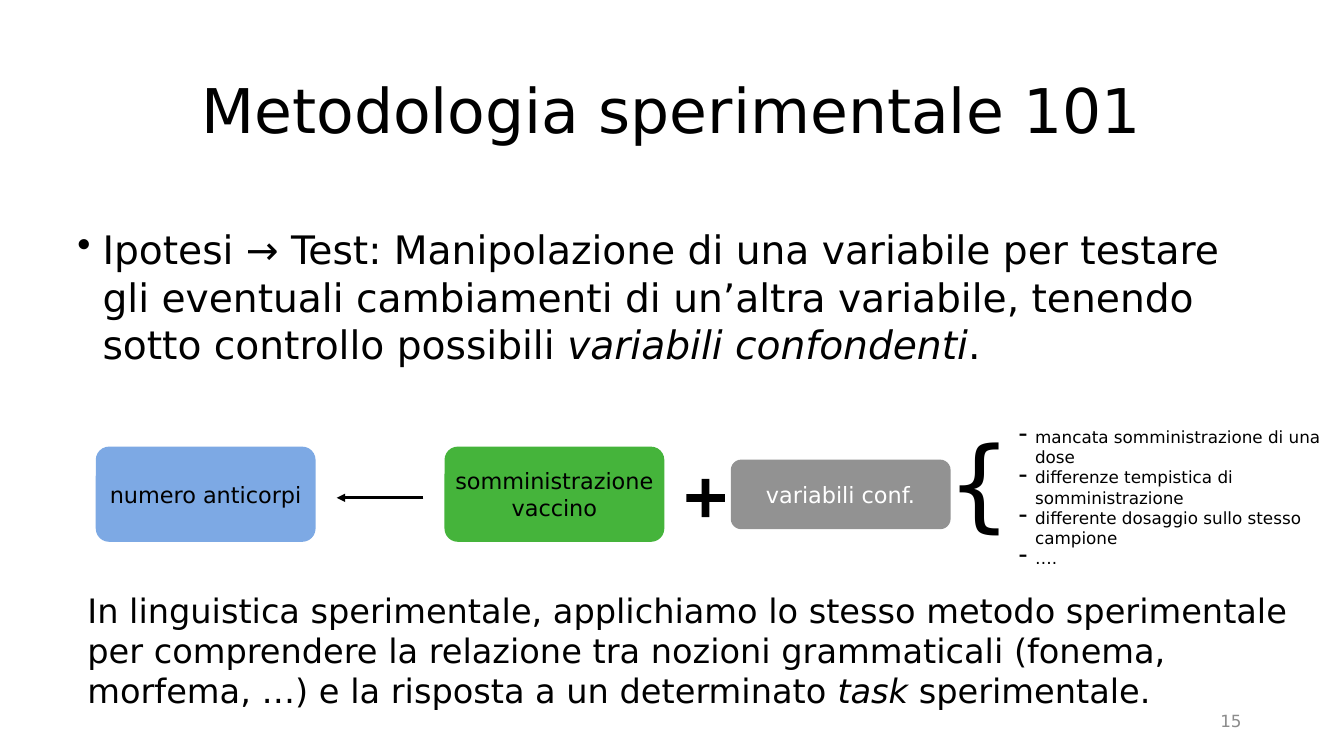
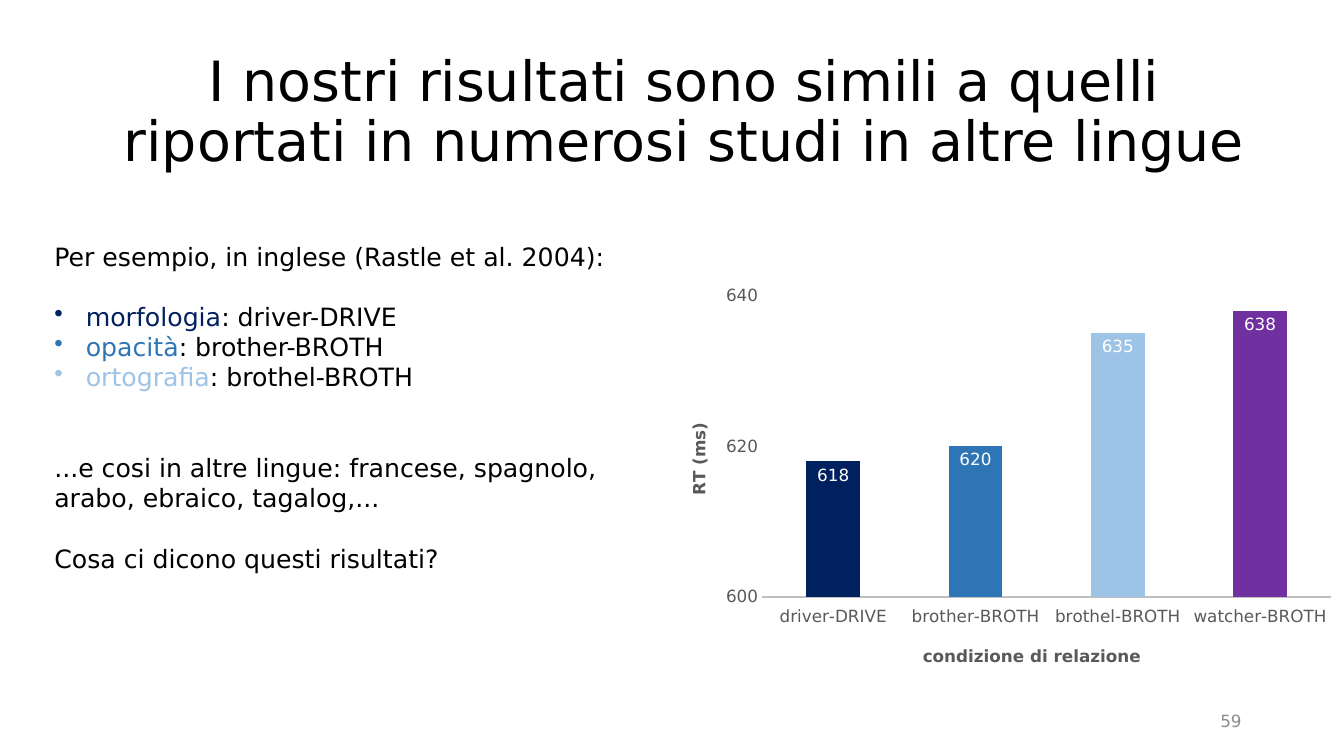
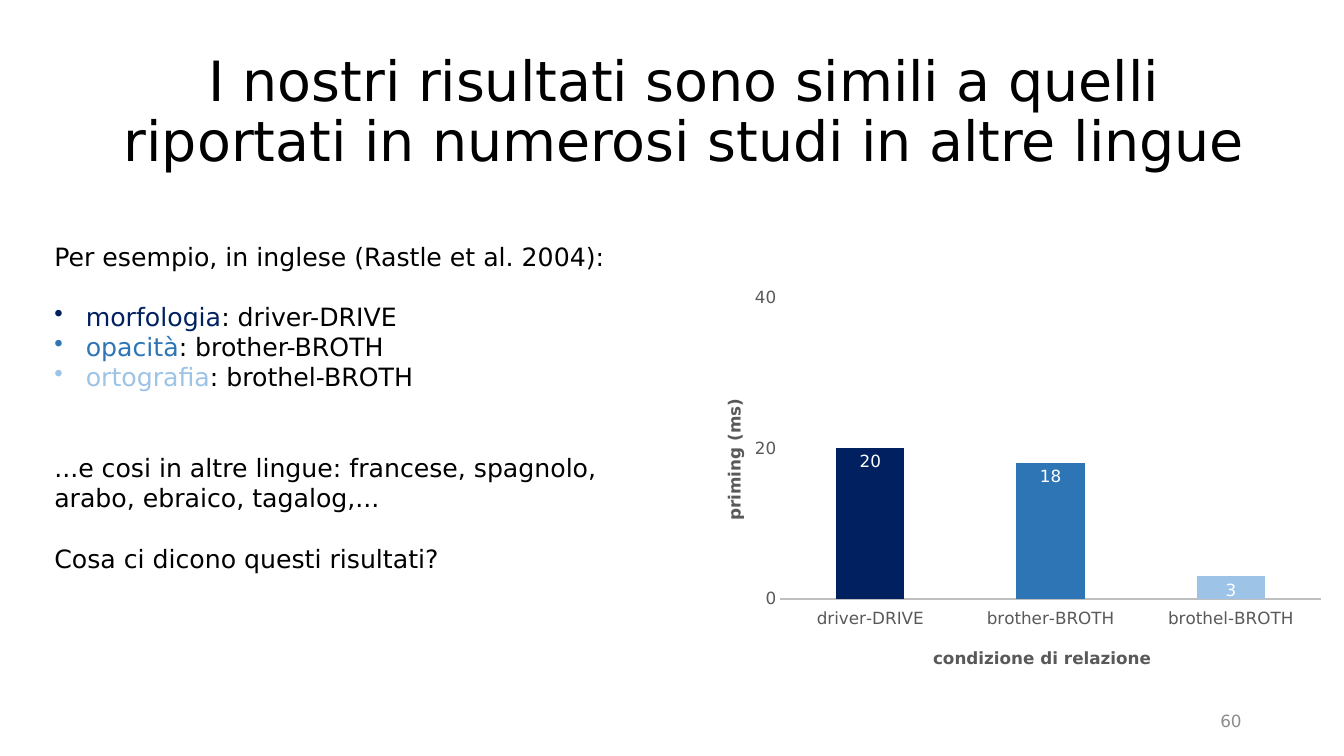
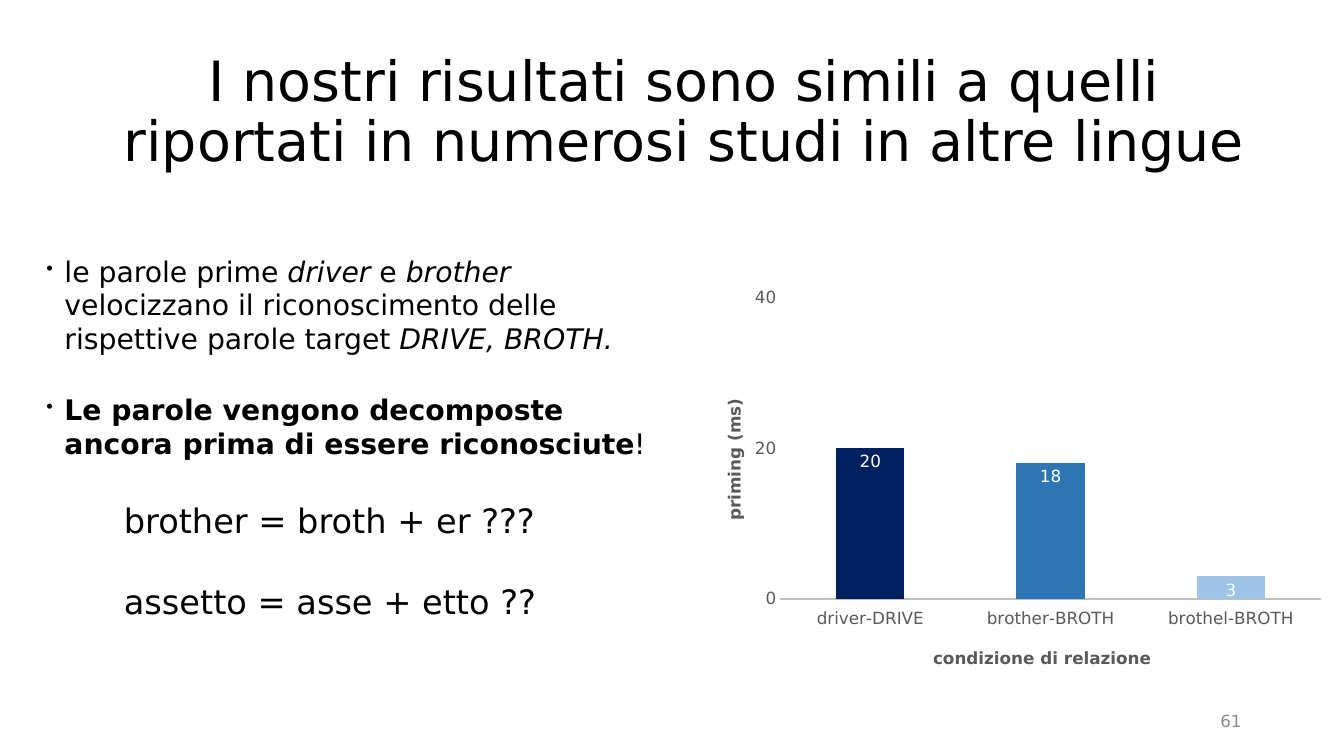
from lxml import etree
from pptx import Presentation
from pptx import util as u
from pptx.chart import data
from pptx.dml import color
from pptx.enum import chart as ch, shapes, text
from pptx.oxml import ns

RGB = color.RGBColor
BLACK, WHITE = RGB(0, 0, 0), RGB(255, 255, 255)
BLUE, GREEN, GRAY = RGB(0x7D, 0xA9, 0xE4), RGB(0x45, 0xB4, 0x3B), RGB(0x92, 0x92, 0x92)
NAVY, MID, SKY = RGB(0x00, 0x20, 0x60), RGB(0x2E, 0x75, 0xB6), RGB(0x9D, 0xC3, 0xE6)
PURPLE = RGB(0x70, 0x30, 0xA0)
FAINT, DARK, RULE = RGB(0x8C, 0x8C, 0x8C), RGB(0x59, 0x59, 0x59), RGB(0xBF, 0xBF, 0xBF)
FONT = "DejaVu Sans"
LEFT, CENTER, RIGHT = text.PP_ALIGN.LEFT, text.PP_ALIGN.CENTER, text.PP_ALIGN.RIGHT
TOP, MIDDLE = text.MSO_ANCHOR.TOP, text.MSO_ANCHOR.MIDDLE
ITALIC, BOLD = {"italic": True}, {"bold": True}
CLAIM = "I nostri risultati sono simili a quelli riportati in numerosi studi in altre lingue"
PAIRS = ["driver-DRIVE", "brother-BROTH", "brothel-BROTH", "watcher-BROTH"]
TINTS = [NAVY, MID, SKY, PURPLE]


# Formatting helpers
def pts(*vals):
    return [u.Pt(v) for v in vals]


def put(obj, fmt):
    for key, val in fmt.items():
        setattr(obj, key, val)


def style(font, size, tint=BLACK, **more):
    put(font, {"name": FONT, "size": u.Pt(size), **more})
    font.color.rgb = tint


def node(tree, tag, **attrs):
    return etree.SubElement(tree, ns.qn(tag), attrs)


def mark(para, sign, indent, hang, scale=100):
    props = para._p.get_or_add_pPr()
    put_in = {"marL": indent, "indent": -hang}
    for key, val in put_in.items():
        props.set(key, str(int(u.Pt(val))))
    node(props, "a:buSzPct", val=str(scale * 1000))
    node(props, "a:buChar", char=sign)


# Text: a paragraph is a string, or a dict with runs, gap and bullet
def write(frame, paras, size, tint=BLACK, align=LEFT, anchor=TOP, inset=None, line=None):
    put(frame, {"word_wrap": True, "vertical_anchor": anchor})
    if inset is not None:
        for side in ("left", "right", "top", "bottom"):
            setattr(frame, "margin_" + side, u.Pt(inset))
    for i, item in enumerate(paras):
        if isinstance(item, str):
            item = {"runs": [(item, {})]}
        para = frame.paragraphs[0] if i == 0 else frame.add_paragraph()
        put(para, {"alignment": align, "space_before": u.Pt(item.get("gap", 0))})
        if line:
            para.line_spacing = line
        if "mark" in item:
            mark(para, *item["mark"])
        for words, fmt in item["runs"]:
            run = para.add_run()
            run.text = words
            style(run.font, size, **{"tint": tint, **fmt})


def label(slide, at, paras, size, **fmt):
    write(slide.shapes.add_textbox(*pts(*at)).text_frame, paras, size, **fmt)


def solid(slide, kind, at, fill, bend):
    shape = slide.shapes.add_shape(kind, *pts(*at))
    shape.shadow.inherit = False
    shape.fill.solid()
    shape.fill.fore_color.rgb = fill
    shape.line.fill.background()
    shape.adjustments[0] = bend
    return shape


def card(slide, at, words, fill, tint=BLACK, bend=0.14):
    shape = solid(slide, shapes.MSO_SHAPE.ROUNDED_RECTANGLE, at, fill, bend)
    write(shape.text_frame, [words], 16, tint, CENTER, MIDDLE, 2)


def arrow(slide, *ends):
    line = slide.shapes.add_connector(shapes.MSO_CONNECTOR.STRAIGHT, *pts(*ends))
    line.line.color.rgb = BLACK
    line.line.width = u.Pt(2)
    props = line._element.spPr
    node(props.find(ns.qn("a:ln")), "a:tailEnd", type="triangle")
    node(props, "a:effectLst")


# Page with the shared title and number
def page(deck, title, num, size=39.6, width=846):
    slide = deck.slides.add_slide(deck.slide_layouts[6])
    label(slide, (66, 29, width, 104), [title], size, align=CENTER, anchor=MIDDLE, line=0.9)
    label(slide, (678, 500.4, 216, 28.8), [str(num)], 12, tint=FAINT, align=RIGHT, anchor=MIDDLE)
    return slide


# Column chart
def place(tree, slot, **spots):
    old = tree.find(ns.qn("c:layout"))
    if old is not None:
        tree.remove(old)
    lay = etree.Element(ns.qn("c:layout"))
    tree.insert(slot, lay)
    box = node(lay, "c:manualLayout")
    if "w" in spots:
        node(box, "c:layoutTarget", val="inner")
    for key in "xy":
        node(box, f"c:{key}Mode", val="edge")
    for key, val in spots.items():
        node(box, f"c:{key}", val=str(val))


def name(axis, words, x, y):
    frame = axis.axis_title.text_frame
    frame.text = words
    style(frame.paragraphs[0].runs[0].font, 12, DARK, bold=True)
    place(axis.axis_title._element, 1, x=x, y=y)


def bars(slide, at, vals, low, unit, spot):
    info = data.CategoryChartData(number_format="General")
    info.categories = PAIRS[:len(vals)]
    info.add_series("Series 1", vals)
    chart = slide.shapes.add_chart(ch.XL_CHART_TYPE.COLUMN_CLUSTERED, *pts(*at), info).chart
    put(chart, {"has_legend": False, "has_title": False})
    style(chart.font, 10)
    place(chart._chartSpace.chart.plotArea, 0, x=0.172, y=0.071, w=0.823, h=0.704)

    # Columns and their labels
    plot = chart.plots[0]
    put(plot, {"gap_width": 164, "overlap": -22, "vary_by_categories": False,
               "has_data_labels": True})
    put(plot.data_labels, {"show_value": True, "number_format": "#,##0",
                           "number_format_is_linked": False,
                           "position": ch.XL_LABEL_POSITION.INSIDE_END})
    style(plot.data_labels.font, 12, WHITE)
    for i, tint in enumerate(TINTS[:len(vals)]):
        fill = plot.series[0].points[i].format.fill
        fill.solid()
        fill.fore_color.rgb = tint

    # Axes
    cat, val = chart.category_axis, chart.value_axis
    for axis in (cat, val):
        put(axis, {"major_tick_mark": ch.XL_TICK_MARK.NONE,
                   "minor_tick_mark": ch.XL_TICK_MARK.NONE,
                   "has_major_gridlines": False})
        style(axis.tick_labels.font, 12, DARK)
    cat.tick_label_position = ch.XL_TICK_LABEL_POSITION.LOW
    cat.format.line.color.rgb = RULE
    cat.format.line.width = u.Pt(1.5)
    put(val, {"minimum_scale": low, "maximum_scale": low + 40, "major_unit": 20})
    val.format.line.fill.background()
    name(cat, "condizione di relazione", 0.4, 0.88)
    name(val, unit, *spot)


def priming(slide):
    bars(slide, (476.6, 190.8, 469.4, 306), (20, 18, 3), 0, "priming (ms)", (0.08, 0.3))


# Example list beside a chart
def sample(slide):
    heads = ["morfologia", "opacità", "ortografia"]
    rows = [{"runs": [(head, {"tint": tint}), (": " + pair, {})],
             "mark": ("•", 22.5, 22.5), "gap": 0 if i else 21.6}
            for i, (head, tint, pair) in enumerate(zip(heads, TINTS, PAIRS))]
    others = "...e cosi in altre lingue: francese, spagnolo, arabo, ebraico, tagalog,..."
    label(slide, (31.7, 168.5, 417, 247),
          ["Per esempio, in inglese (Rastle et al. 2004):", *rows,
           {"runs": [(others, {})], "gap": 43.2},
           {"runs": [("Cosa ci dicono questi risultati?", {})], "gap": 21.6}], 18)


# Slides
def method(deck):
    slide = page(deck, "Metodologia sperimentale 101", 15, 44, 828)
    label(slide, (48.2, 157.7, 864, 137.5), [{"mark": ("•", 18, 18), "runs": [
        ("Ipotesi → Test: Manipolazione di una variabile per testare gli eventuali "
         "cambiamenti di un’altra variabile, tenendo sotto controllo possibili ", {}),
        ("variabili confondenti", ITALIC), (".", {})]}], 28)

    # Diagram
    card(slide, (68.4, 319, 157, 68), "numero anticorpi", BLUE)
    arrow(slide, 302.4, 355.6, 240.5, 355.6)
    card(slide, (317.5, 319, 157, 68), "somministrazione vaccino", GREEN)
    solid(slide, shapes.MSO_SHAPE.CROSS, (490.3, 342, 27.4, 27.4), BLACK, 0.4)
    card(slide, (522, 328.3, 157, 49.7), "variabili conf.", GRAY, WHITE, 0.15)
    label(slide, (674.6, 296.6, 51, 91.4), ["{"], 72, anchor=MIDDLE, inset=2)
    flaws = ["mancata somministrazione di una dose", "differenze tempistica di somministrazione",
             "differente dosaggio sullo stesso campione", "…."]
    label(slide, (725.8, 302.4, 226, 105.8),
          [{"runs": [(flaw, {})], "mark": ("-", 11.5, 11.5, 150)} for flaw in flaws],
          12, anchor=MIDDLE, inset=2)

    label(slide, (55.4, 417.6, 880, 122), [{"runs": [
        ("In linguistica sperimentale, applichiamo lo stesso metodo sperimentale per "
         "comprendere la relazione tra nozioni grammaticali (fonema, morfema, …) e la "
         "risposta a un determinato ", {}),
        ("task ", ITALIC), ("sperimentale.", {})]}], 24)


def times(deck):
    slide = page(deck, CLAIM, 59)
    bars(slide, (459.4, 189.4, 494, 306), (618, 620, 635, 638), 600, "RT (ms)", (0.06, 0.36))
    sample(slide)


def effect(deck):
    slide = page(deck, CLAIM, 60)
    priming(slide)
    sample(slide)


def finding(deck):
    slide = page(deck, CLAIM, 61)
    dot = ("•", 14.4, 13, 69)
    label(slide, (30.2, 168.5, 446.4, 172.8), [
        {"mark": dot, "runs": [
            ("le parole prime ", {}), ("driver ", ITALIC), ("e ", {}), ("brother ", ITALIC),
            ("velocizzano il riconoscimento delle rispettive parole target ", {}),
            ("DRIVE, BROTH.", ITALIC)]},
        {"mark": dot, "gap": 26, "runs": [
            ("Le parole vengono decomposte ancora prima di essere riconosciute", BOLD),
            ("!", {})]}], 20.2, anchor=MIDDLE, inset=1.5)
    label(slide, (81.4, 353.5, 317, 94.3), [
        "brother = broth + er ???",
        {"runs": [("assetto = asse + etto ??", {})], "gap": 29}], 24)
    priming(slide)


def main():
    deck = Presentation()
    put(deck, {"slide_width": u.Pt(960), "slide_height": u.Pt(540)})
    for build in (method, times, effect, finding):
        build(deck)
    deck.save("out.pptx")


if __name__ == "__main__":
    main()
